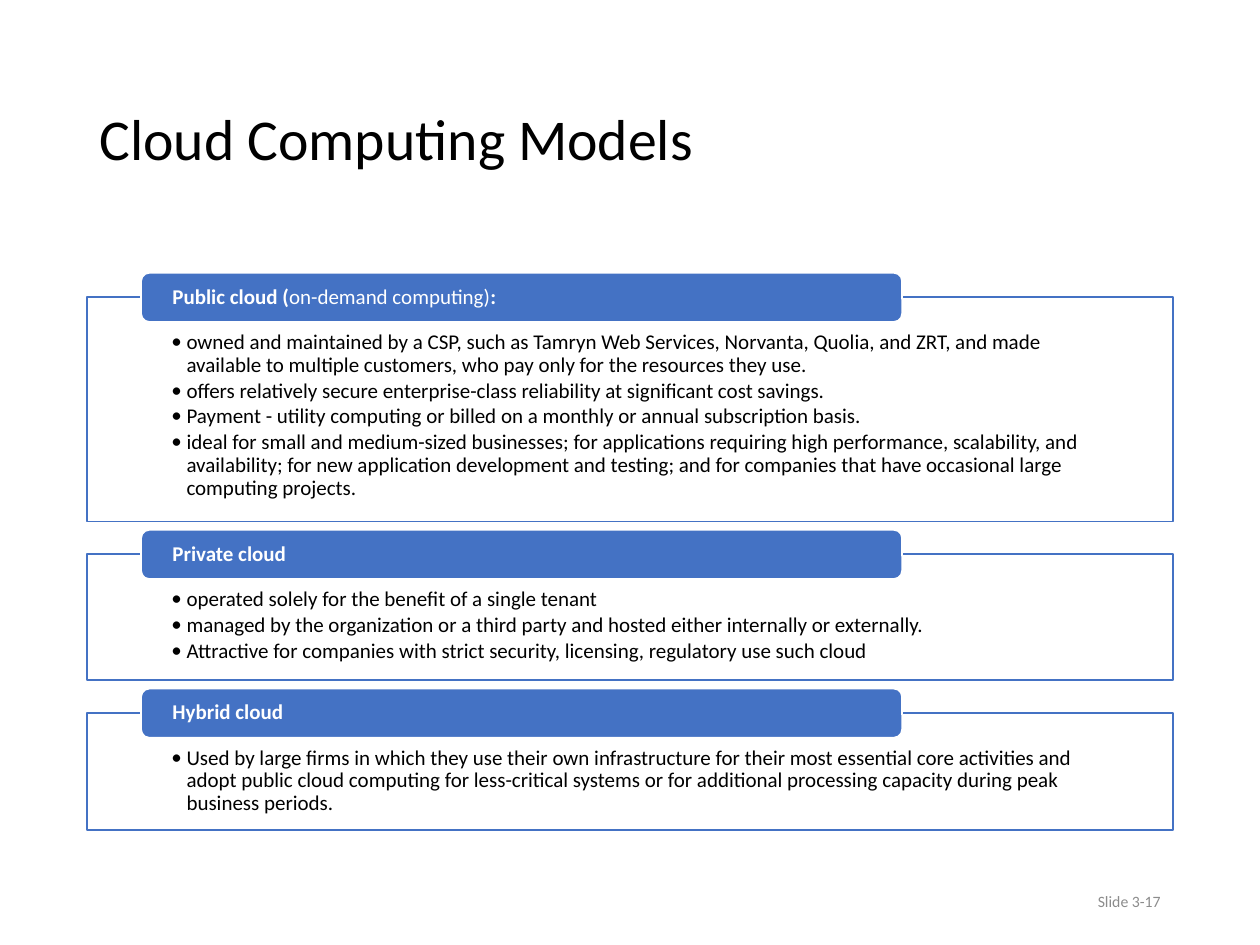
"""Build the slide on the three cloud computing models."""
import pptx
import pptx.util
import pptx.dml.color
import pptx.enum.shapes
import pptx.enum.text
import pptx.oxml
import pptx.oxml.ns

Inches = pptx.util.Inches
Pt = pptx.util.Pt
RGBColor = pptx.dml.color.RGBColor
Shape = pptx.enum.shapes.MSO_SHAPE
Align = pptx.enum.text.PP_ALIGN
Anchor = pptx.enum.text.MSO_ANCHOR

BLACK = RGBColor(0x00, 0x00, 0x00)
WHITE = RGBColor(0xFF, 0xFF, 0xFF)
BLUE = RGBColor(0x44, 0x72, 0xC4)
GRAY = RGBColor(0x8C, 0x8C, 0x8C)

TITLE = "Cloud Computing Models"
SLIDE_NUMBER = "Slide 3-17"
MODELS = [
    {
        "heading": [("Public cloud (", True), ("on-demand computing)", False), (":", True)],
        "height": 1.78,
        "points": [
            "owned and maintained by a CSP, such as Tamryn Web Services, Norvanta, Quolia, and ZRT, and made "
            "available to multiple customers, who pay only for the resources they use.",
            "offers relatively secure enterprise-class reliability at significant cost savings.",
            "Payment - utility computing or billed on a monthly or annual subscription basis.",
            "ideal for small and medium-sized businesses; for applications requiring high performance, "
            "scalability, and availability; for new application development and testing; and for companies "
            "that have occasional large computing projects.",
        ],
    },
    {
        "heading": [("Private cloud", True)],
        "height": 1.0,
        "points": [
            "operated solely for the benefit of a single tenant",
            "managed by the organization or a third party and hosted either internally or externally.",
            "Attractive for companies with strict security, licensing, regulatory use such cloud",
        ],
    },
    {
        "heading": [("Hybrid cloud", True)],
        "height": 0.93,
        "points": [
            "Used by large firms in which they use their own infrastructure for their most essential core "
            "activities and adopt public cloud computing for less-critical systems or for additional "
            "processing capacity during peak business periods.",
        ],
    },
]

LEFT, WIDTH = 0.69, 8.62
FIRST_TOP, GAP = 2.36, 0.26
LABEL_LEFT, LABEL_WIDTH, LABEL_HEIGHT = 1.12, 6.04, 0.39


def set_all(target, values):
    for name, value in values.items():
        setattr(target, name, value)


def set_frame(box, anchor, insets):
    names = ("margin_left", "margin_top", "margin_right", "margin_bottom")
    margins = {name: Inches(inset) for name, inset in zip(names, insets)}
    set_all(box.text_frame, {"word_wrap": True, "vertical_anchor": anchor, **margins})


def write(para, spans, size, color, **layout):
    set_all(para, {"alignment": Align.LEFT, **layout})
    set_all(para.font, {"name": "Calibri", "size": Pt(size)})
    for text, bold in spans:
        span = para.add_run()
        span.text = text
        set_all(span.font, {"name": "Calibri", "size": Pt(size), "bold": bold})
        span.font.color.rgb = color


def add_bullet(para):
    properties = para._p.get_or_add_pPr()
    properties.set("marL", str(Inches(0.12)))
    properties.set("indent", str(Inches(-0.12)))
    namespace = pptx.oxml.ns.nsdecls("a")
    for element in ('buFont typeface="Calibri"', 'buChar char="•"'):
        tag, setting = element.split(" ")
        properties.append(pptx.oxml.parse_xml(f"<a:{tag} {namespace} {setting}/>"))


def add_box(page, kind, place, fill, line):
    box = page.shapes.add_shape(kind, *map(Inches, place))
    box.shadow.inherit = False
    box.fill.solid()
    box.fill.fore_color.rgb = fill
    box.line.color.rgb = line
    box.line.width = Pt(1)
    return box


def add_model(page, model, top):
    body = add_box(page, Shape.RECTANGLE, (LEFT, top, WIDTH, model["height"]), WHITE, BLUE)
    set_frame(body, Anchor.TOP, (0.67, 0.27, 0.67, 0.05))
    for index, point in enumerate(model["points"]):
        para = body.text_frame.add_paragraph() if index else body.text_frame.paragraphs[0]
        add_bullet(para)
        write(para, [(point, False)], 12, BLACK, level=1, line_spacing=0.9, space_after=Pt(1.8))

    place = (LABEL_LEFT, top - LABEL_HEIGHT / 2, LABEL_WIDTH, LABEL_HEIGHT)
    label = add_box(page, Shape.ROUNDED_RECTANGLE, place, BLUE, WHITE)
    set_frame(label, Anchor.MIDDLE, (0.23, 0, 0.23, 0))
    write(label.text_frame.paragraphs[0], model["heading"], 12, WHITE, line_spacing=0.9)


def main():
    deck = pptx.Presentation()
    set_all(deck, {"slide_width": Inches(10), "slide_height": Inches(7.5)})
    page = deck.slides.add_slide(deck.slide_layouts[5])

    title = page.shapes.title
    place = {"left": 0.69, "top": 0.4, "width": 8.62, "height": 1.45}
    set_all(title, {name: Inches(value) for name, value in place.items()})
    set_frame(title, Anchor.MIDDLE, (0.1, 0.05, 0.1, 0.05))
    write(title.text_frame.paragraphs[0], [(TITLE, False)], 33, BLACK, line_spacing=0.9)

    top = FIRST_TOP
    for model in MODELS:
        add_model(page, model, top)
        top += model["height"] + GAP

    number = page.shapes.add_textbox(*map(Inches, (7.06, 6.95, 2.25, 0.4)))
    set_frame(number, Anchor.MIDDLE, (0.1, 0.05, 0.1, 0.05))
    write(number.text_frame.paragraphs[0], [(SLIDE_NUMBER, False)], 9, GRAY, alignment=Align.RIGHT)

    deck.save("out.pptx")


if __name__ == "__main__":
    main()
